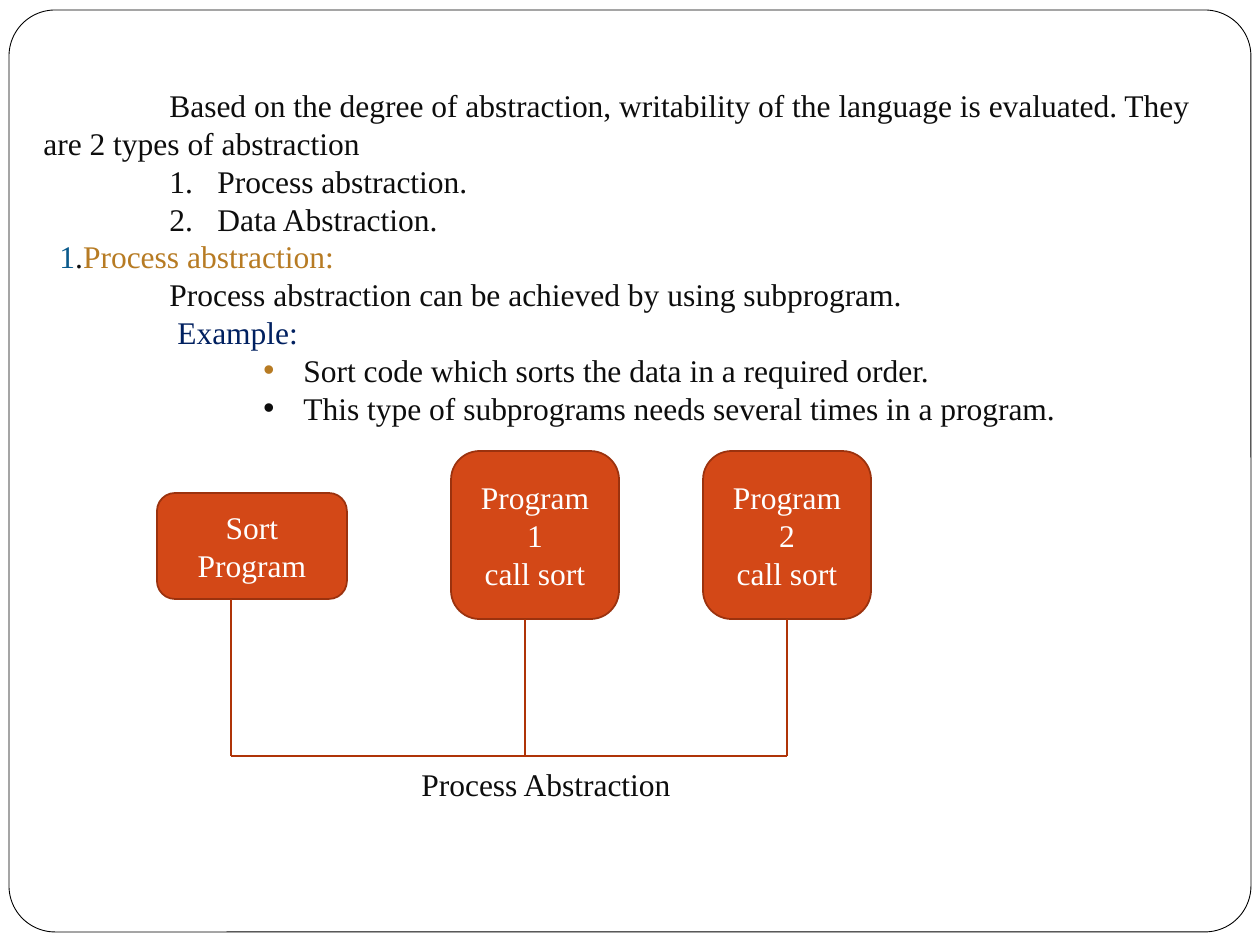
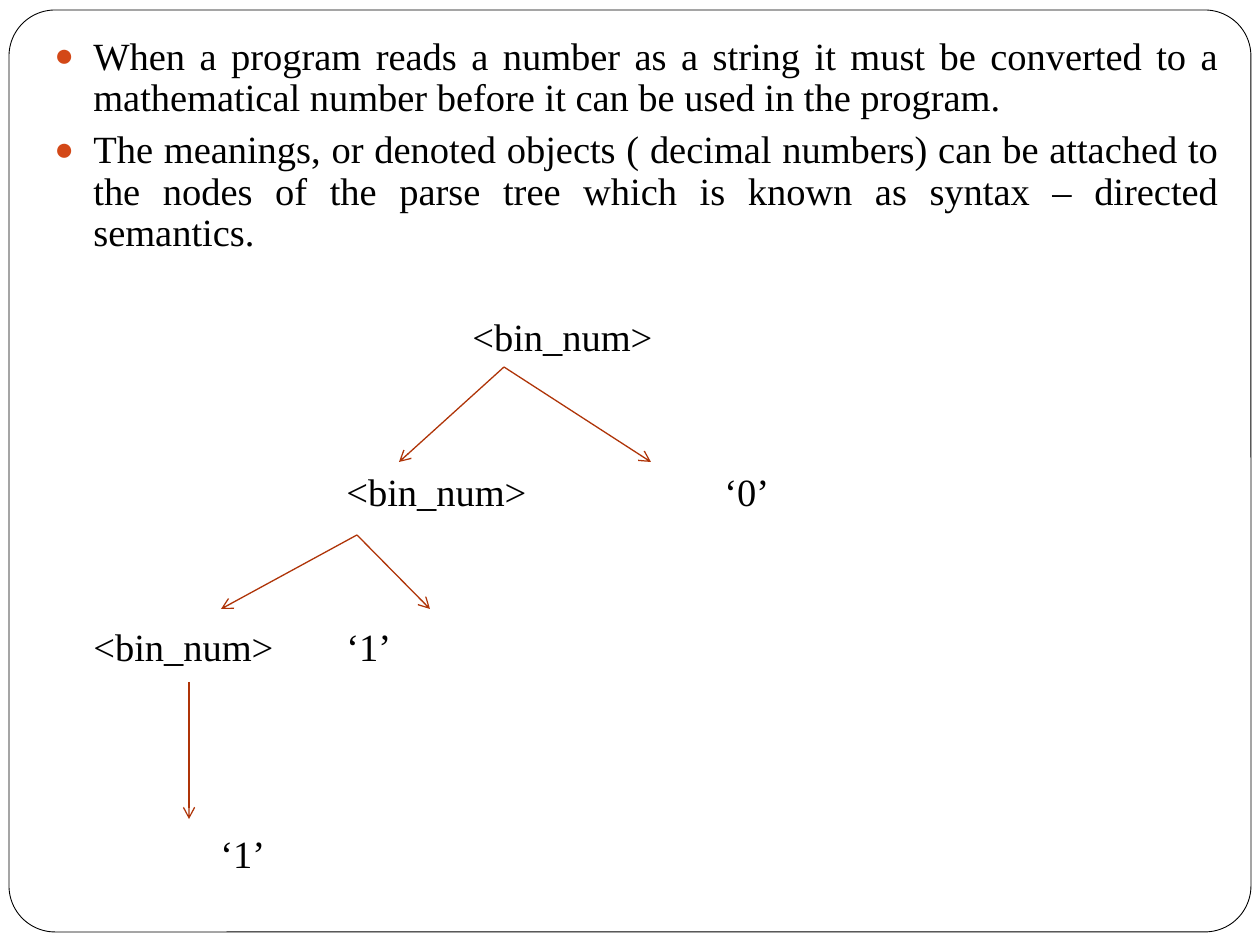
from lxml.etree import SubElement
from pptx import Presentation
from pptx.dml.color import RGBColor
from pptx.enum.shapes import MSO_CONNECTOR, MSO_SHAPE
from pptx.enum.text import MSO_ANCHOR, PP_ALIGN
from pptx.oxml.ns import qn
from pptx.util import Emu, Pt

PX = 914400 / 126
PAGE_SIZE = (1260, 945)
FONT = "Times New Roman"
COLORS = {
    "paper": "FFFFFF", "black": "000000", "ink": "0D0D0D", "blue": "0A5A8C",
    "navy": "002060", "gold": "B77B23", "orange": "D34817", "rust": "9B320E",
    "wire": "AF3408",
}
FRAME = (9, 10, 1242, 922)

# Paragraph layouts: left margin and first-line indent in px, bullet, spacing
PLAIN = {}
OPENING = {"indent": 126}
NUMBERED = {"margin": 174, "indent": -48, "bullet": "number"}
HEADING = {"margin": 16}
BODY = {"margin": 126}
EXAMPLE = {"margin": 134}
POINT = {"margin": 260, "indent": -40, "bullet": "•"}
GOLD_POINT = {**POINT, "bullet_color": "gold"}
STATEMENT = {"margin": 50, "indent": -39, "bullet": "●", "bullet_color": "orange",
             "bullet_size": 85,
             "format": {"alignment": PP_ALIGN.JUSTIFY, "line_spacing": 0.9}}
NEXT_STATEMENT = {**STATEMENT,
                  "format": {**STATEMENT["format"], "space_before": Pt(5.8)}}
CENTERED = {"format": {"alignment": PP_ALIGN.CENTER}}

# Each paragraph is a layout and its (text, color) spans
ABSTRACTION_SIZE = 18
ABSTRACTION_AREA = (31, 80, 1187, 370)
ABSTRACTION_TEXT = [
    (OPENING, [("Based on the degree of abstraction, writability of the language is "
                "evaluated. They are 2 types of abstraction", "ink")]),
    (NUMBERED, [("Process abstraction.", "ink")]),
    (NUMBERED, [("Data Abstraction.", "ink")]),
    (HEADING, [("1", "blue"), (".", "ink"), ("Process abstraction:", "gold")]),
    (BODY, [("Process abstraction can be achieved by using subprogram.", "ink")]),
    (EXAMPLE, [("Example:", "navy")]),
    (GOLD_POINT, [("Sort code which sorts the data in a required order.", "ink")]),
    (POINT, [("This type of subprograms needs several times in a program.", "ink")]),
]
# Area, lines of text, and where the wire leaves the box
PROGRAMS = [
    ((157, 493, 190, 106), ["Sort Program"], 231),
    ((451, 451, 168, 168), ["Program 1", "call sort"], 525),
    ((703, 451, 168, 168), ["Program 2", "call sort"], 787),
]
RAIL_Y = 756
CAPTION = ("Process Abstraction", (409, 759, 290, 50))

PARSE_SIZE = 22
PARSE_AREA = (31, 31, 1200, 240)
PARSE_TEXT = [
    (STATEMENT, [("When a program reads a number as a string it must be converted to a "
                  "mathematical number before it can be used in the program.", "black")]),
    (NEXT_STATEMENT, [("The meanings, or denoted objects ( decimal numbers) can be "
                       "attached to the nodes of the parse tree which is known as "
                       "syntax – directed semantics.", "black")]),
]
NODE_SIZE = (220, 58)
TREE_NODES = [
    ("<bin_num>", 460, 307), ("<bin_num>", 334, 462), ("‘0’", 712, 462),
    ("<bin_num>", 81, 617), ("‘1’", 334, 617), ("‘1’", 208, 824),
]
# Start point and the end points its arrows lead to
TREE_BRANCHES = [
    ((504, 367), [(399, 462), (651, 462)]),
    ((357, 535), [(221, 609), (430, 609)]),
    ((189, 682), [(189, 819)]),
]


def px(*lengths):
    return [Emu(round(length * PX)) for length in lengths]


def rgb(name):
    return RGBColor.from_string(COLORS[name])


def add_bullet(props, layout):
    color = SubElement(props, qn("a:buClr"))
    SubElement(color, qn("a:srgbClr"), val=COLORS[layout.get("bullet_color", "ink")])
    if "bullet_size" in layout:
        SubElement(props, qn("a:buSzPct"), val=str(layout["bullet_size"] * 1000))
    if layout["bullet"] == "number":
        SubElement(props, qn("a:buFont"), typeface=FONT)
        SubElement(props, qn("a:buAutoNum"), type="arabicPeriod")
    else:
        SubElement(props, qn("a:buFont"), typeface="Arial")
        SubElement(props, qn("a:buChar"), char=layout["bullet"])


def write(frame, paragraphs, size):
    """Fill a text frame with (layout, spans) paragraphs."""
    frame.word_wrap = True
    for index, (layout, spans) in enumerate(paragraphs):
        para = frame.add_paragraph() if index else frame.paragraphs[0]
        for name, value in layout.get("format", {}).items():
            setattr(para, name, value)
        props = para._p.get_or_add_pPr()
        margin, indent = px(layout.get("margin", 0), layout.get("indent", 0))
        props.set("marL", str(margin))
        props.set("indent", str(indent))
        if "bullet" in layout:
            add_bullet(props, layout)
        for text, color in spans:
            span = para.add_run()
            span.text = text
            for name, value in {"name": FONT, "size": Pt(size)}.items():
                setattr(span.font, name, value)
            span.font.color.rgb = rgb(color)


def add_text(page, area, paragraphs, size):
    box = page.shapes.add_textbox(*px(*area))
    write(box.text_frame, paragraphs, size)


def add_round_box(page, area, fill, line, width, rounding):
    box = page.shapes.add_shape(MSO_SHAPE.ROUNDED_RECTANGLE, *px(*area))
    box.adjustments[0] = rounding
    box.shadow.inherit = False
    box.fill.solid()
    box.fill.fore_color.rgb = rgb(fill)
    box.line.color.rgb = rgb(line)
    box.line.width = Pt(width)
    return box


def add_wire(page, start, end, arrow=False):
    wire = page.shapes.add_connector(MSO_CONNECTOR.STRAIGHT, *px(*start, *end))
    wire.line.color.rgb = rgb("wire")
    wire.line.width = Pt(0.75)
    if arrow:
        SubElement(wire.line._get_or_add_ln(), qn("a:tailEnd"), type="arrow")
    SubElement(wire._element.spPr, qn("a:effectLst"))


def add_page(deck):
    """Add a blank page with the rounded frame that all pages share."""
    page = deck.slides.add_slide(deck.slide_layouts[6])
    add_round_box(page, FRAME, "paper", "black", 0.5, 0.05)
    return page


def build_abstraction_page(deck):
    page = add_page(deck)
    add_text(page, ABSTRACTION_AREA, ABSTRACTION_TEXT, ABSTRACTION_SIZE)
    for area, lines, wire_x in PROGRAMS:
        box = add_round_box(page, area, "orange", "rust", 1, 0.17)
        box.text_frame.vertical_anchor = MSO_ANCHOR.MIDDLE
        write(box.text_frame, [(CENTERED, [(line, "paper")]) for line in lines],
              ABSTRACTION_SIZE)
        add_wire(page, (wire_x, area[1] + area[3]), (wire_x, RAIL_Y))
    add_wire(page, (PROGRAMS[0][2], RAIL_Y), (PROGRAMS[-1][2], RAIL_Y))
    text, area = CAPTION
    add_text(page, area, [(PLAIN, [(text, "ink")])], ABSTRACTION_SIZE)


def build_parse_tree_page(deck):
    page = add_page(deck)
    add_text(page, PARSE_AREA, PARSE_TEXT, PARSE_SIZE)
    for label, left, top in TREE_NODES:
        add_text(page, (left, top, *NODE_SIZE), [(PLAIN, [(label, "black")])], PARSE_SIZE)
    for start, ends in TREE_BRANCHES:
        for end in ends:
            add_wire(page, start, end, arrow=True)


def main():
    deck = Presentation()
    deck.slide_width, deck.slide_height = px(*PAGE_SIZE)
    build_abstraction_page(deck)
    build_parse_tree_page(deck)
    deck.save("out.pptx")


if __name__ == "__main__":
    main()
